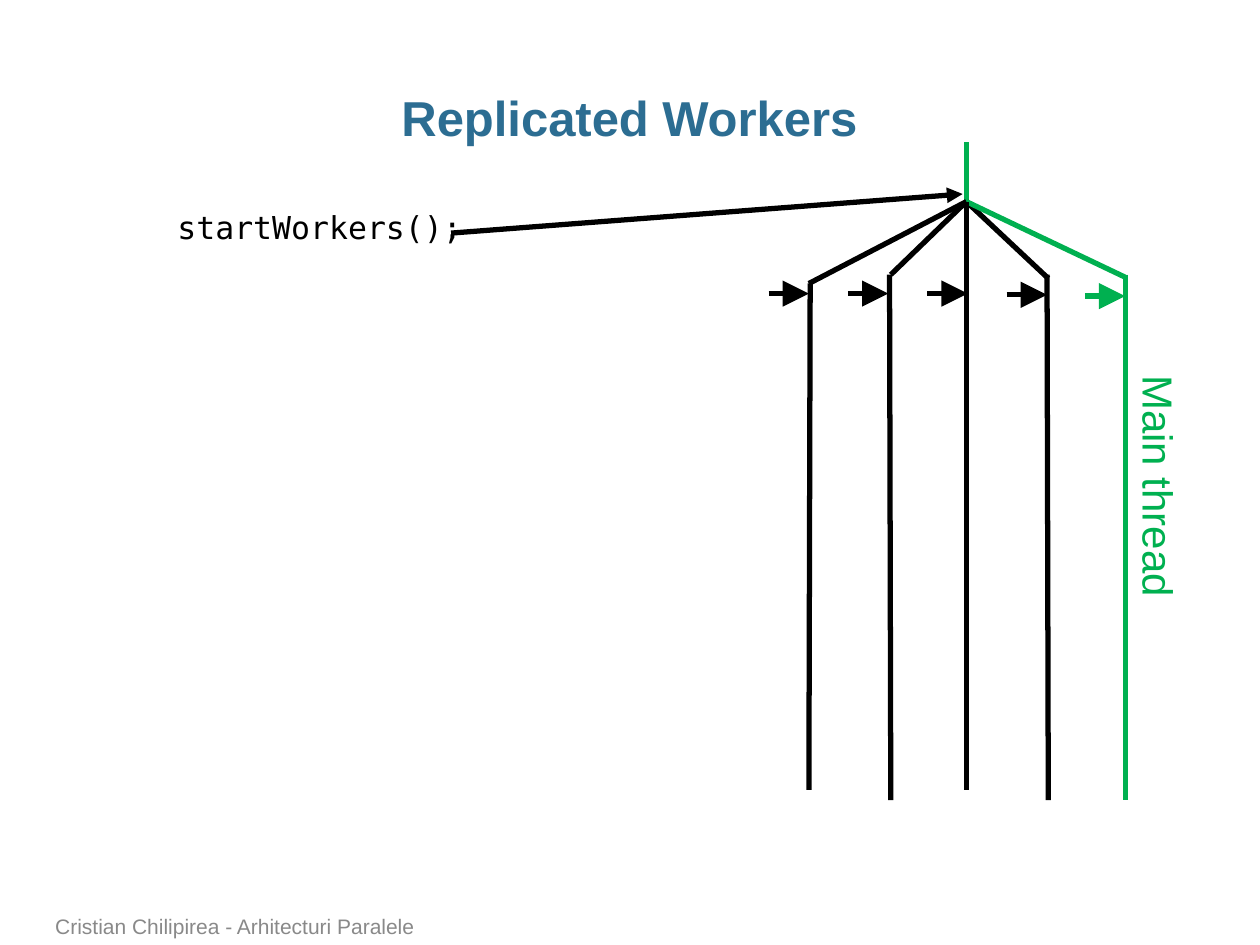
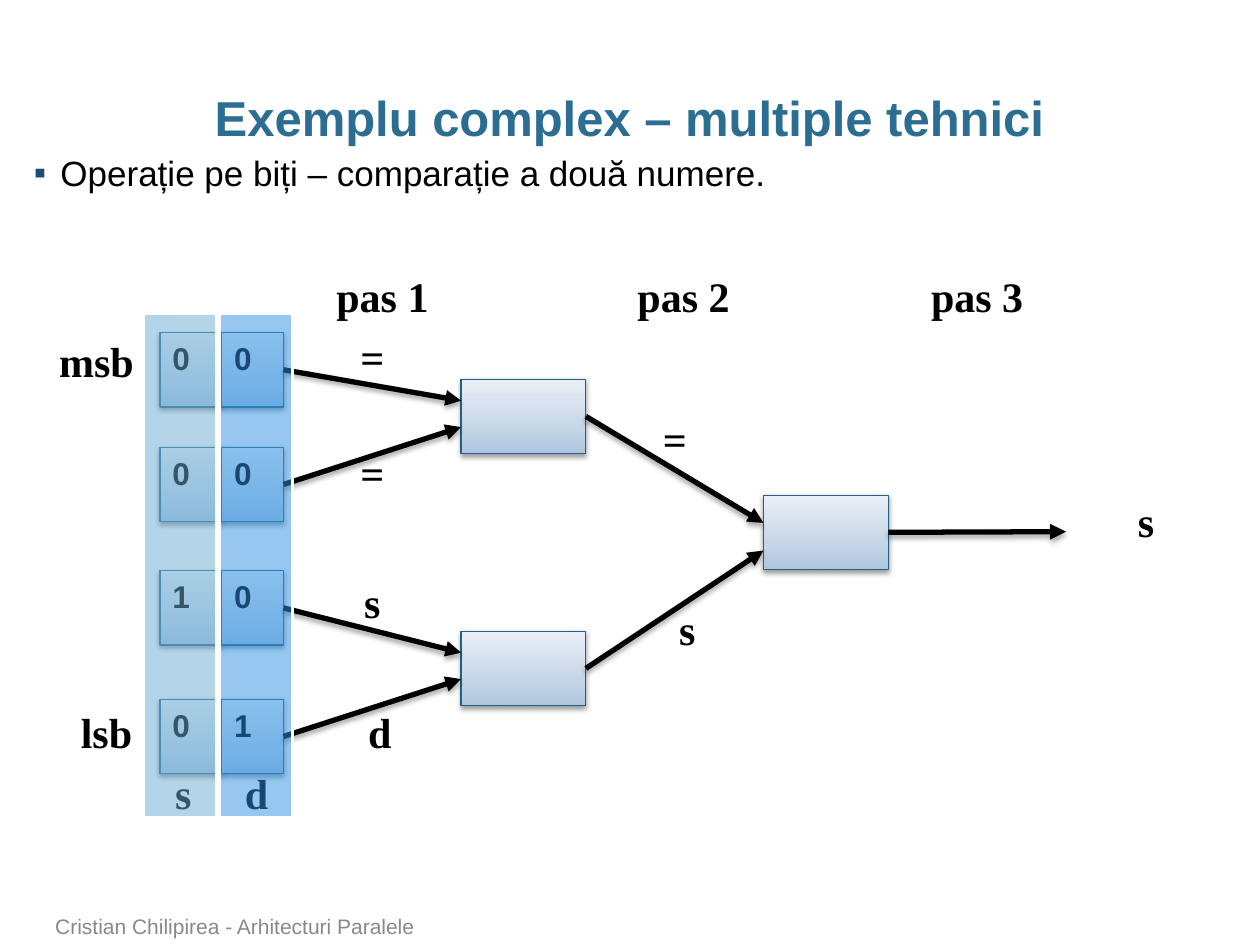
import copy
from dataclasses import dataclass

import lxml.etree
import pptx
import pptx.dml.color
import pptx.enum.shapes
import pptx.enum.text
import pptx.oxml.ns
import pptx.util

Inches = pptx.util.Inches
Pt = pptx.util.Pt
qn = pptx.oxml.ns.qn
Align = pptx.enum.text.PP_ALIGN
Anchor = pptx.enum.text.MSO_ANCHOR
Kind = pptx.enum.shapes.MSO_SHAPE


@dataclass
class Theme:
    sans: str = "Arial"
    mono: str = "DejaVu Sans Mono"
    serif: str = "Times New Roman"
    title: str = "2C6D92"
    black: str = "000000"
    white: str = "FFFFFF"
    green: str = "00B050"
    foot: str = "898989"
    mark: str = "1C4C74"
    node: tuple = ("AEC5DE", "C7D6E7", "E9EFF6")
    node_edge: str = "246083"
    cell: tuple = ("AAC8E6", "C4D8EC", "E8F0F8")
    cell_edge: str = "296B91"
    left: str = "6BADD3"
    right: str = "2C91E4"
    head_pt: int = 28
    big_pt: int = 24
    body_pt: int = 20
    code_pt: int = 18
    foot_pt: int = 12
    line_pt: int = 3


T = Theme()

# Content shared by both slides
FOOT = "Cristian Chilipirea - Arhitecturi Paralele"

# Workers slide
FORK = (7.67, 1.6)
THREADS = [  # fork end, thread top, thread bottom, arrow tip, colour
    ((7.07, 2.18), (7.06, 2.18), (7.07, 6.35), (7.05, 2.33), T.black),
    ((8.32, 2.21), (8.31, 2.18), (8.32, 6.35), (8.31, 2.34), T.black),
    ((6.42, 2.25), (6.43, 2.25), (6.42, 6.27), (6.42, 2.33), T.black),
    ((8.93, 2.2), (8.93, 2.18), (8.93, 6.35), (8.93, 2.35), T.green),
    ((7.67, 2.1), (7.67, 2.1), (7.67, 6.27), (7.68, 2.33), T.black),
]
DASH = 0.32

# Comparison slide
POINT = "Operație pe biți – comparație a două numere."
W, H = 0.99, 0.59
LABELS = [
    ("msb", 0.27, 2.61), ("lsb", 0.35, 5.56),
    ("=", 2.46, 2.58), ("=", 2.46, 3.5), ("s", 2.46, 4.53), ("d", 2.52, 5.56),
    ("=", 4.86, 3.23), ("s", 4.96, 4.74), ("s", 8.6, 3.88),
    ("pas 1", 2.54, 2.1), ("pas 2", 4.93, 2.1), ("pas 3", 7.26, 2.1),
]
SIDES = [("s", 0.96), ("d", 1.54)]
BITS = [("00", 2.64), ("00", 3.55), ("10", 4.53), ("01", 5.55)]
NODES = {"top": (3.66, 3.01), "low": (3.66, 5.01), "end": (6.06, 3.93)}
FLOWS = [  # start, arrow tip
    (0, (3.66, 3.18)), (1, (3.66, 3.39)), (2, (3.66, 5.18)), (3, (3.66, 5.39)),
    ("top", (6.06, 4.15)), ("low", (6.06, 4.37)), ("end", (8.46, 4.22)),
]
BANDS = [(1.74, T.right), (1.14, T.left)]


def rgb(hue):
    return pptx.dml.color.RGBColor.from_string(hue)


def sub(up, tag, **attrs):
    node = lxml.etree.SubElement(up, qn(tag))
    for key, val in attrs.items():
        node.set(key, str(val))
    return node


def write(shape, text, size, face, hue, bold=False, align=Align.LEFT,
          anchor=Anchor.TOP, wrap=True):
    frame = shape.text_frame
    frame.text = text
    frame.word_wrap = wrap
    frame.vertical_anchor = anchor
    para = frame.paragraphs[0]
    para.alignment = align
    font = para.runs[0].font
    font.size, font.name, font.bold = Pt(size), face, bold
    font.color.rgb = rgb(hue)
    return para


def area(slide, at):
    return slide.shapes.add_textbox(*map(Inches, at))


def rect(slide, at):
    shape = slide.shapes.add_shape(Kind.RECTANGLE, *map(Inches, at))
    shape.shadow.inherit = False
    shape.line.fill.background()
    return shape


def flush(shape):
    shape.text_frame.margin_left = shape.text_frame.margin_right = 0


def shade(shape, alpha, dist):
    props = shape._element.spPr
    old = props.find(qn("a:effectLst"))
    if old is not None:
        props.remove(old)
    drop = sub(sub(props, "a:effectLst"), "a:outerShdw", blurRad=Pt(3.1),
               dist=Pt(dist), dir=5400000, rotWithShape=0)
    sub(sub(drop, "a:srgbClr", val=T.black), "a:alpha", val=alpha * 1000)


def glossy(slide, at, hues, edge):
    shape = rect(slide, at)
    shape.fill.gradient()
    shape.fill.gradient_angle = 90
    stops = shape._element.spPr.find(qn("a:gradFill")).find(qn("a:gsLst"))
    stops.insert(1, copy.deepcopy(stops[0]))
    for stop, hue, pos in zip(shape.fill.gradient_stops, hues, (0, 0.35, 1)):
        stop.color.rgb = rgb(hue)
        stop.position = pos
    shape.line.color.rgb = rgb(edge)
    shape.line.width = Pt(0.75)
    shade(shape, 38, 1.6)
    return shape


def link(slide, start, end, hue=T.black, head=None, soft=False):
    line = slide.shapes.add_connector(
        pptx.enum.shapes.MSO_CONNECTOR.STRAIGHT, *map(Inches, start + end))
    line.line.color.rgb = rgb(hue)
    line.line.width = Pt(T.line_pt)
    props = line._element.spPr
    if head:
        sub(props.find(qn("a:ln")), "a:tailEnd", type="triangle", w=head, len=head)
    if soft:
        shade(line, 35, 1.8)
    else:
        sub(props, "a:effectLst")
    return line


def start(deck, title):
    slide = deck.slides.add_slide(deck.slide_layouts[6])
    head = area(slide, (0.34, 0.68, 9.31, 0.5))
    flush(head)
    para = write(head, title, T.head_pt, T.sans, T.title, True, Align.CENTER)
    para.line_spacing = 0.95
    write(area(slide, (0.34, 7.22, 7.37, 0.28)), FOOT, T.foot_pt, T.sans,
          T.foot, anchor=Anchor.BOTTOM)
    return slide


def workers(deck):
    slide = start(deck, "Replicated Workers")
    # Trunk, forks, threads and their markers
    link(slide, (FORK[0], 1.13), FORK, T.green)
    for bend, top, low, tip, hue in THREADS:
        link(slide, FORK, bend, hue)
        link(slide, top, low, hue)
        link(slide, (tip[0] - DASH, tip[1]), tip, hue, "lg")
    # Call and thread name
    write(area(slide, (1.31, 1.6, 6.84, 1.25)), "startWorkers();",
          T.code_pt, T.mono, T.black)
    link(slide, (3.58, 1.85), (7.64, 1.54), head="med")
    name = area(slide, (8.21, 3.62, 1.98, 0.5))
    name.rotation = 90
    write(name, "Main thread", T.big_pt, T.sans, T.green, wrap=False)


def compare(deck):
    slide = start(deck, "Exemplu complex – multiple tehnici")
    # Bullet
    body = area(slide, (0.27, 1.15, 9.17, 1.69))
    flush(body)
    para = write(body, POINT, T.body_pt, T.sans, T.black)
    props = para._p.get_or_add_pPr()
    props.set("marL", str(Inches(0.21)))
    props.set("indent", str(-Inches(0.21)))
    sub(sub(props, "a:buClr"), "a:srgbClr", val=T.mark)
    sub(props, "a:buFont", typeface=T.sans)
    sub(props, "a:buChar", char="▪")
    # Labels
    for text, x, y in LABELS:
        shape = rect(slide, (x, y, W, H))
        shape.fill.solid()
        shape.fill.fore_color.rgb = rgb(T.white)
        write(shape, text, T.big_pt, T.serif, T.black, True, Align.CENTER)
    for text, x in SIDES:
        write(area(slide, (x, 6.04, W, H)), text, T.big_pt, T.serif,
              T.black, True, Align.CENTER)
    # Bit cells and comparison nodes
    ends = {}
    for row, (bits, y) in enumerate(BITS):
        for col, bit in enumerate(bits):
            cell = glossy(slide, (1.27 + col * 0.49, y, 0.49, H), T.cell, T.cell_edge)
            write(cell, bit, T.code_pt, T.sans, T.black, True)
            ends[row] = cell
    for key, spot in NODES.items():
        ends[key] = glossy(slide, spot + (W, H), T.node, T.node_edge)
    # Arrows
    for key, tip in FLOWS:
        link(slide, tip, tip, head="med", soft=True).begin_connect(ends[key], 3)
    # Column bands
    for x, hue in BANDS:
        band = rect(slide, (x, 2.49, 0.58, 4))
        band.fill.solid()
        band.fill.fore_color.rgb = rgb(hue)
        tint = band._element.spPr.find(qn("a:solidFill"))[0]
        sub(tint, "a:alpha", val=50000)
        band.line.color.rgb = rgb(T.white)
        band.line.width = Pt(2)


def main():
    deck = pptx.Presentation()
    deck.slide_width, deck.slide_height = Inches(10), Inches(7.5)
    workers(deck)
    compare(deck)
    deck.save("out.pptx")


if __name__ == "__main__":
    main()
